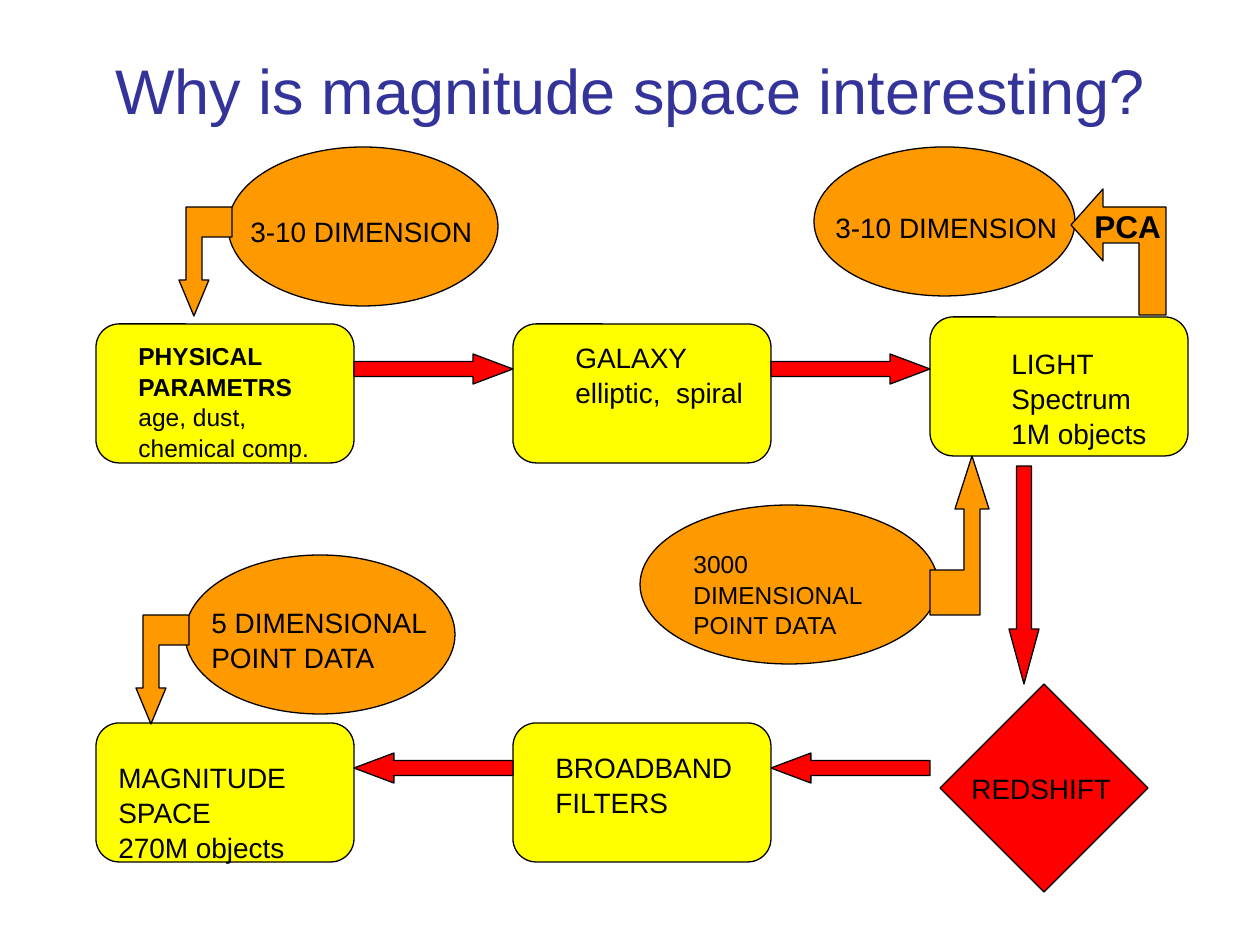
"""Build the slide that links physical parameters, spectra and magnitude space."""
from pptx import Presentation
from pptx import util as u
from pptx.dml.color import RGBColor
from pptx.enum import shapes, text

PX = u.Inches(1) / 126
BLACK = RGBColor(0x00, 0x00, 0x00)
NAVY = RGBColor(0x33, 0x33, 0x99)
YELLOW = RGBColor(0xFF, 0xFF, 0x00)
ORANGE = RGBColor(0xFF, 0x99, 0x00)
RED = RGBColor(0xFF, 0x00, 0x00)
KIND = shapes.MSO_SHAPE

prs = Presentation()
prs.slide_width, prs.slide_height = u.Inches(10), u.Inches(7.5)
s = prs.slides.add_slide(prs.slide_layouts[6])


def draw(kind, geometry, color, adjustments=()):
    """Add a preset shape from a box, or a freeform from a list of points."""
    if kind is None:
        builder = s.shapes.build_freeform(*geometry[0], scale=PX)
        builder.add_line_segments(geometry[1:], close=True)
        sp = builder.convert_to_shape()
    else:
        sp = s.shapes.add_shape(kind, *(round(v * PX) for v in geometry))
    for i, value in enumerate(adjustments):
        sp.adjustments[i] = value
    sp.shadow.inherit = False
    sp.fill.solid()
    sp.fill.fore_color.rgb = color
    sp.line.color.rgb = BLACK
    sp.line.width = u.Pt(0.75)


def label(box, lines, size=16, color=BLACK, bold_lines=0, wrap=True):
    """Add a text box with one paragraph per line and return its paragraphs."""
    tf = s.shapes.add_textbox(*(round(v * PX) for v in box)).text_frame
    tf.word_wrap = wrap
    tf.text = "\n".join(lines)
    for i, p in enumerate(tf.paragraphs):
        p.line_spacing = 1.04
        p.font.name = "Arial"
        p.font.size = u.Pt(size)
        p.font.color.rgb = color
        p.font.bold = i < bold_lines
    return tf.paragraphs


title = label((21, 38, 1218, 158), ["Why is magnitude space interesting?"], 36, NAVY)[0]
title.alignment = text.PP_ALIGN.CENTER
title.line_spacing = 1.1

COLUMNS = [96 + 417 * i for i in range(3)]
TOP, BOTTOM = 324, 723
BOX_W, BOX_H = 258, 139
GAP = COLUMNS[1] - COLUMNS[0] - BOX_W

cells = [(x, y) for y in (TOP, BOTTOM) for x in COLUMNS[:2]] + [(COLUMNS[2], 317)]
for x, y in cells:
    draw(KIND.ROUNDED_RECTANGLE, (x, y, BOX_W, BOX_H), YELLOW, [0.167])
draw(KIND.DIAMOND, (940, 684, 208, 208), RED)

for x in COLUMNS[:2]:
    for y, kind in ((TOP, KIND.RIGHT_ARROW), (BOTTOM, KIND.LEFT_ARROW)):
        draw(kind, (x + BOX_W, y + 30, GAP, 30), RED, [0.5, 1.33])
draw(KIND.DOWN_ARROW, (1009, 466, 30, 218), RED, [0.5, 1.83])

elbow = [(232, 237), (202, 237), (202, 280), (209, 280), (194, 316),
         (179, 280), (186, 280), (186, 207), (232, 207)]
for dx, dy in ((0, 0), (-43, 408)):
    draw(KIND.OVAL, (228 + dx, 147 + dy, 270, 159), ORANGE)
    draw(None, [(x + dx, y + dy) for x, y in elbow], ORANGE)

draw(KIND.OVAL, (640, 505, 298, 159), ORANGE)
draw(None, [(930, 570), (964, 570), (964, 509), (955, 509), (972, 456),
            (989, 509), (980, 509), (980, 615), (930, 615)], ORANGE)
draw(KIND.OVAL, (814, 147, 261, 149), ORANGE)
draw(None, [(1139, 315), (1139, 243), (1103, 243), (1103, 261), (1071, 225),
            (1103, 189), (1103, 207), (1166, 207), (1166, 315)], ORANGE)

label((126, 334, 208, 131), ["PHYSICAL PARAMETRS", "age, dust, chemical comp."], 14, bold_lines=1)
label((563, 333, 208, 81), ["GALAXY", "elliptic,  spiral"])
label((999, 339, 208, 113), ["LIGHT", "Spectrum", "1M objects"])
label((106, 753, 228, 113), ["MAGNITUDE SPACE", "270M objects"])
label((543, 743, 208, 81), ["BROADBAND FILTERS"])
label((959, 764, 208, 47), ["REDSHIFT"])
label((681, 542, 222, 101), ["3000 DIMENSIONAL", "POINT DATA"], 14)
label((199, 598, 267, 81), ["5 DIMENSIONAL", "POINT DATA"])
label((238, 207, 267, 47), ["3-10 DIMENSION"])
label((823, 203, 258, 47), ["3-10 DIMENSION"])
label((1082, 199, 92, 50), ["PCA"], 18, bold_lines=1, wrap=False)

prs.save("out.pptx")
